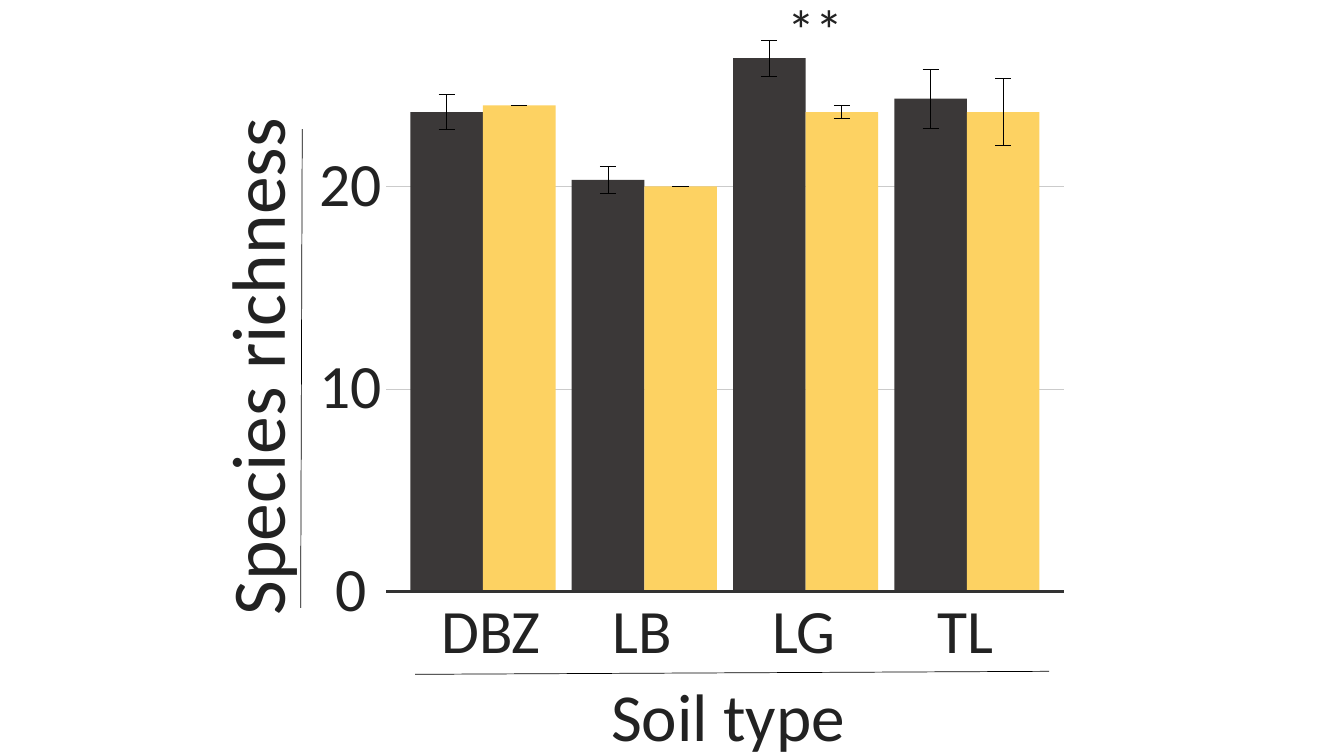
from lxml import etree
from pptx import Presentation
from pptx.dml.color import RGBColor
from pptx.enum.shapes import MSO_CONNECTOR, MSO_SHAPE
from pptx.enum.text import MSO_AUTO_SIZE, PP_ALIGN
from pptx.oxml.ns import qn
from pptx.util import Inches, Pt

STRAIGHT = MSO_CONNECTOR.STRAIGHT
RECT = MSO_SHAPE.RECTANGLE
FIT = MSO_AUTO_SIZE.SHAPE_TO_FIT_TEXT
CENTER = PP_ALIGN.CENTER

CHARCOAL = RGBColor(0x3B, 0x38, 0x38)
YELLOW = RGBColor(0xFD, 0xD2, 0x62)
GRID_GREY = RGBColor(0xCB, 0xCB, 0xCB)
AXIS_GREY = RGBColor(0x33, 0x33, 0x33)
BLACK = RGBColor(0x00, 0x00, 0x00)
TEXT = RGBColor(0x22, 0x22, 0x22)

# One column per soil type, ten rows (species) per grid line
LEFT, BASE = 4.79, 5.87
COLUMN, TEN_ROWS = 1.6, 2.01

BAR, CAP = 0.45, 0.05
AXIS_START, AXIS_END = -0.6, 3.6

# Soil type: label width, label shift, then (mean, error) for each bar
RICHNESS = {
    "DBZ": (0.65, 0.05, [(23.67, 0.88), (24, 0)]),
    "LB": (0.4, -0.01, [(20.33, 0.67), (20, 0)]),
    "LG": (0.43, -0.01, [(26.33, 0.88), (23.67, 0.33)]),
    "TL": (0.38, -0.01, [(24.33, 1.45), (23.67, 1.65)]),
}


class Plot:
    """Draws on one slide in columns (soil types) and rows (species)."""

    font = {"name": "Calibri"}

    def __init__(self, slide):
        self.shapes = slide.shapes

    def x(self, col):
        return Inches(LEFT + col * COLUMN)

    def y(self, row):
        return Inches(BASE - row * TEN_ROWS / 10)

    def line(self, start, end, color=BLACK, width=0.63):
        (c1, r1), (c2, r2) = start, end
        ln = self.shapes.add_connector(
            STRAIGHT, self.x(c1), self.y(r1), self.x(c2), self.y(r2))
        ln.line.color.rgb = color
        ln.line.width = Pt(width)
        etree.SubElement(ln._element.spPr, qn("a:effectLst"))

    def bar(self, col, value, color):
        sp = self.shapes.add_shape(
            RECT, self.x(col - BAR / 2), self.y(value),
            Inches(BAR * COLUMN), self.y(0) - self.y(value))
        sp.shadow.inherit = False
        sp.fill.solid()
        sp.fill.fore_color.rgb = color
        sp.line.fill.background()

    def error_bar(self, col, value, error):
        low, high = value - error, value + error
        if error:
            self.line((col, high), (col, low))
        for end in sorted({low, high}):
            self.line((col - CAP, end), (col + CAP, end))

    def label(self, text, col, row, width, size=44, rotation=0):
        """Centre a line of text on a grid point."""
        w, h = Inches(width * COLUMN), Pt(size * 1.22)
        sp = self.shapes.add_textbox(
            self.x(col) - w // 2, self.y(row) - h // 2, w, h)
        sp.rotation = rotation
        tf = sp.text_frame
        frame = {"margin_left": 0, "margin_right": 0, "margin_top": 0,
                 "margin_bottom": 0, "word_wrap": False, "auto_size": FIT}
        for name, value in frame.items():
            setattr(tf, name, value)
        p = tf.paragraphs[0]
        p.alignment = CENTER
        r = p.add_run()
        r.text = text
        for name, value in {**self.font, "size": Pt(size)}.items():
            setattr(r.font, name, value)
        r.font.color.rgb = TEXT


def main():
    prs = Presentation()
    prs.slide_width, prs.slide_height = Inches(13.33), Inches(7.5)
    plot = Plot(prs.slides.add_slide(prs.slide_layouts[6]))

    # Grid lines
    ticks = {0: 0.22, 10: 0.42, 20: 0.42}
    for tick in ticks:
        plot.line((AXIS_START, tick), (AXIS_END, tick), GRID_GREY)

    # Bars, with the base line over their feet
    means = []
    for i, (_, _, pair) in enumerate(RICHNESS.values()):
        for side, color, (mean, error) in zip((-1, 1), (CHARCOAL, YELLOW), pair):
            col = i + side * BAR / 2
            plot.bar(col, mean, color)
            means.append((col, mean, error))
    plot.line((AXIS_START, 0), (AXIS_END, 0), AXIS_GREY, 2)

    # Error bars
    for mean in means:
        plot.error_bar(*mean)

    # Axis labels
    for tick, width in ticks.items():
        plot.label(str(tick), -0.82, tick + 0.22, width)
    for i, (soil, (width, shift, _)) in enumerate(RICHNESS.items()):
        plot.label(soil, i + shift, -1.89, width)

    # Axis titles and their rules
    plot.label("Species richness", -1.41, 11.1, 3.15, 54, 270)
    plot.label("Soil type", 1.52, -6.1, 1.5, 48)
    plot.line((-1.12, 22.83), (-1.13, -0.8), width=0.5)
    plot.line((3.51, -3.93), (-0.42, -4.08), width=0.5)

    # Significance mark
    plot.label("**", 2.06, 27.79, 0.38, 40)

    prs.save("out.pptx")


if __name__ == "__main__":
    main()
